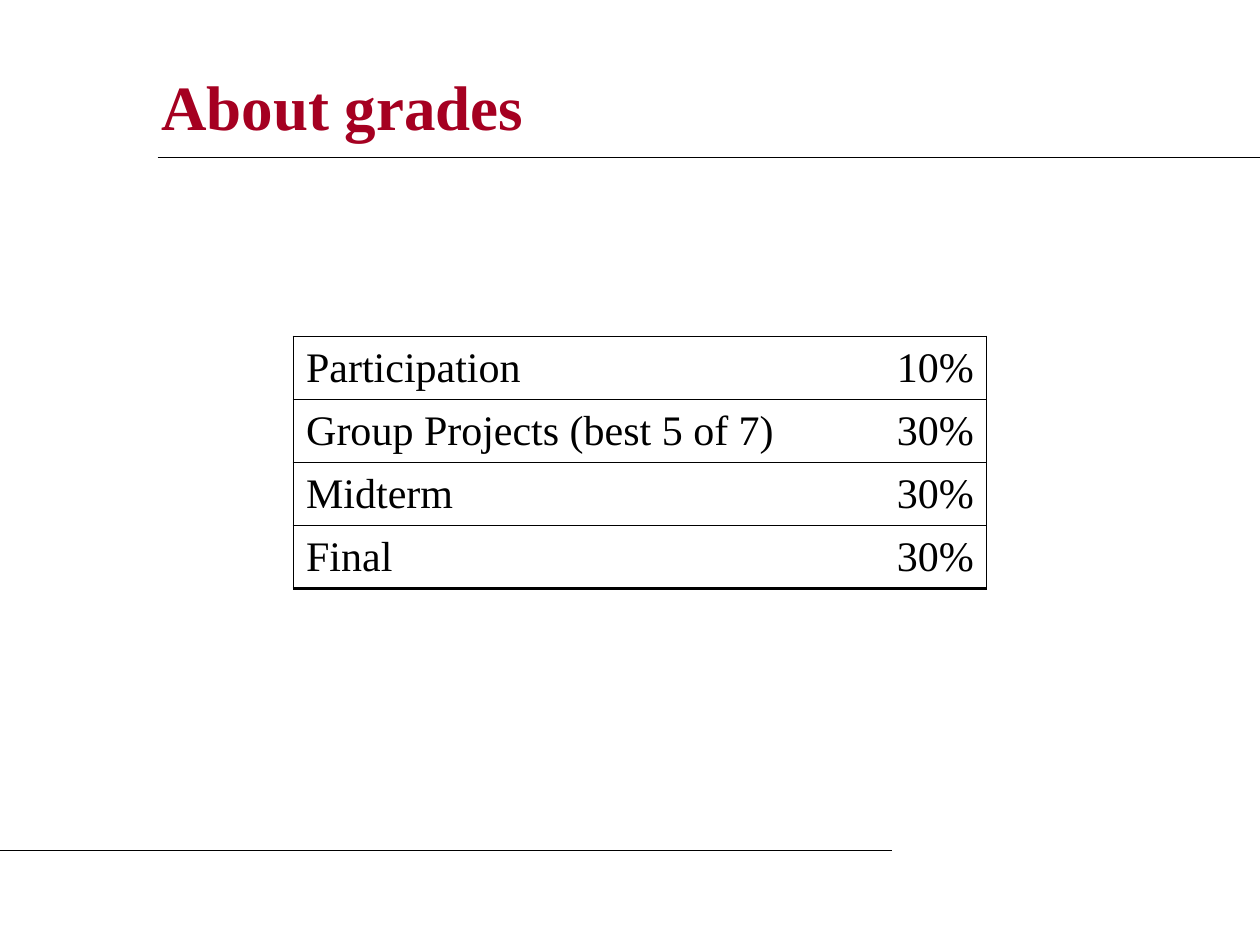
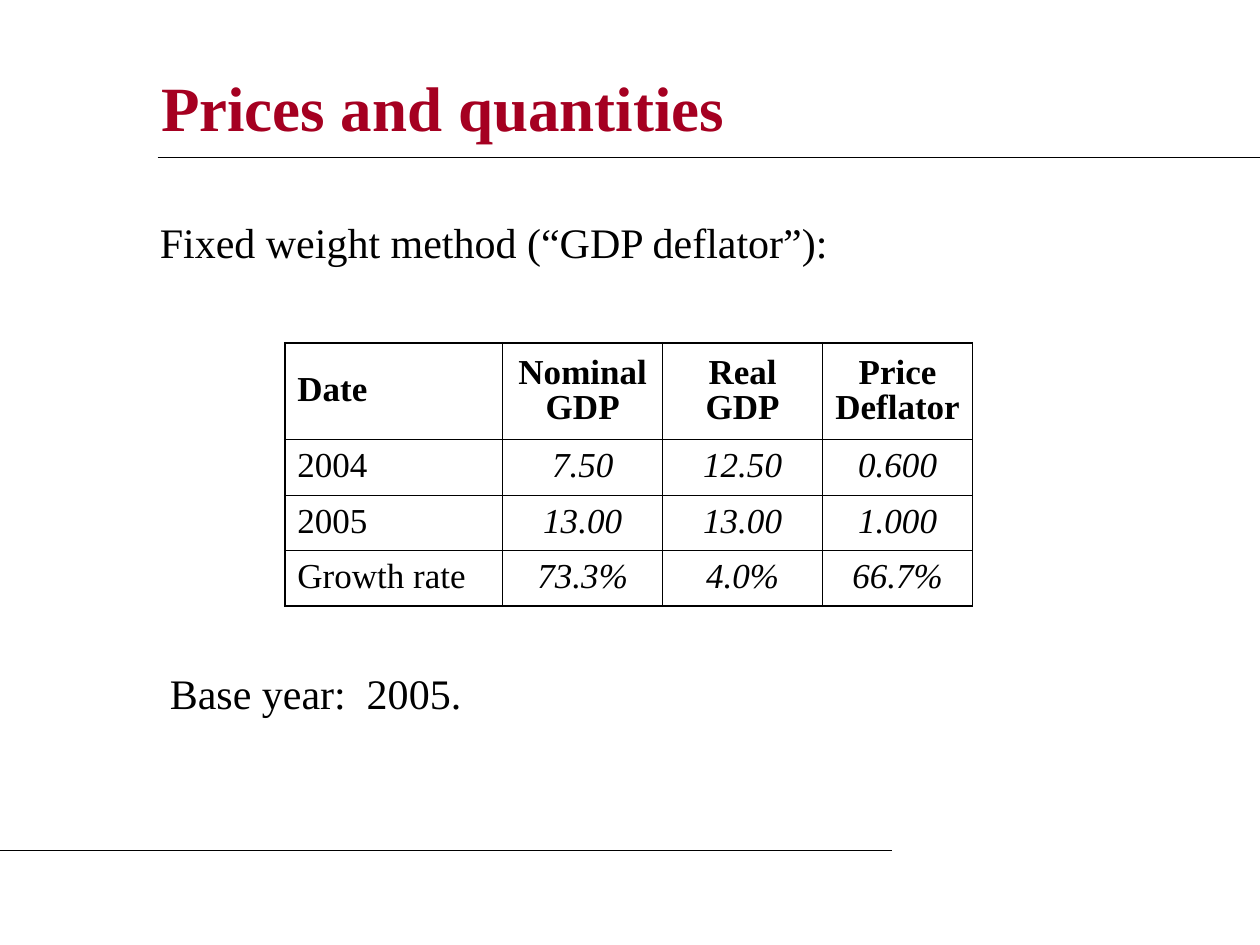
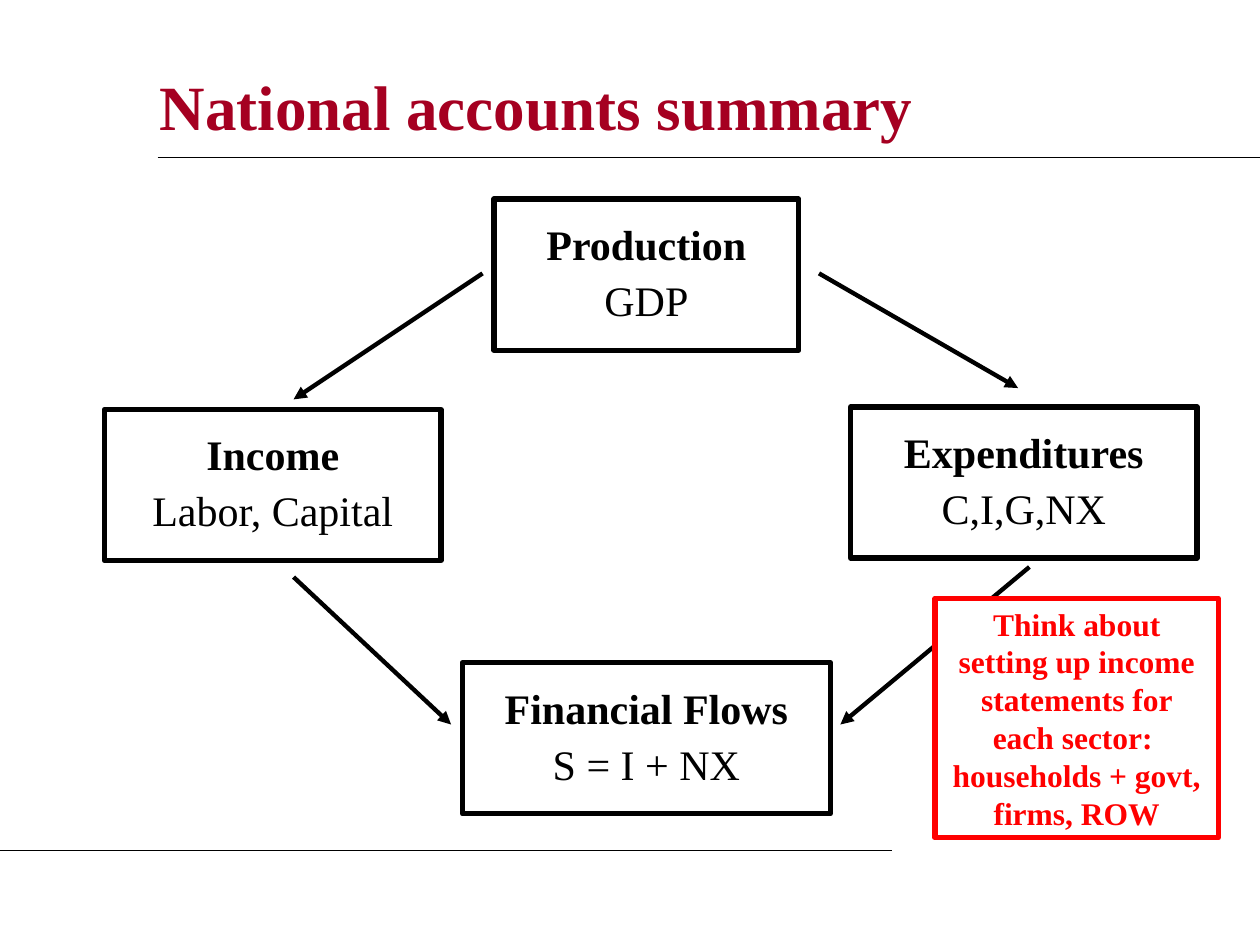
from lxml import etree
from pptx import Presentation
from pptx.dml.color import RGBColor
from pptx.enum.shapes import MSO_CONNECTOR as CONN, MSO_SHAPE as SHAPE
from pptx.enum.text import MSO_ANCHOR as ANCHOR, PP_ALIGN as ALIGN
from pptx.oxml.ns import qn
from pptx.util import Inches, Pt

BLACK = RGBColor(0x00, 0x00, 0x00)
WHITE = RGBColor(0xFF, 0xFF, 0xFF)
CRIMSON = RGBColor(0xA5, 0x00, 0x21)
RED = RGBColor(0xFF, 0x00, 0x00)
BODY = {"name": "Times New Roman", "size": Pt(24), "bold": False, "italic": False}
THIN, THICK = 0.45, 1.08


class Deck:
    """Builds slides that share one title style and two rules."""

    def __init__(self):
        self.prs = Presentation()
        self.prs.slide_width, self.prs.slide_height = Inches(10), Inches(7.5)
        self.s = None

    def slide(self, title, left, top, width, height):
        self.s = self.prs.slides.add_slide(self.prs.slide_layouts[6])
        sp = self.text(title, left, top, width, height, CRIMSON, size=Pt(36), bold=True)
        sp.text_frame.vertical_anchor = ANCHOR.MIDDLE
        self.line((1.25, 1.25), (10, 1.25))
        self.line((0, 6.75), (7.08, 6.75))

    def add_text(self, p, text, color=BLACK, layout=None, **fmt):
        for name, value in (layout or {}).items():
            setattr(p, name, value)
        r = p.add_run()
        r.text = text
        for name, value in {**BODY, **fmt}.items():
            setattr(r.font, name, value)
        r.font.color.rgb = color

    def text(self, text, left, top, width, height, color=BLACK, **fmt):
        sp = self.s.shapes.add_textbox(*map(Inches, (left, top, width, height)))
        sp.text_frame.word_wrap = True
        self.add_text(sp.text_frame.paragraphs[0], text, color, **fmt)
        return sp

    def line(self, start, end, width=0.75, arrow=False):
        c = self.s.shapes.add_connector(CONN.STRAIGHT, *map(Inches, start + end))
        c.line.color.rgb, c.line.width = BLACK, Pt(width)
        spPr = c.element.spPr
        if arrow:
            etree.SubElement(spPr.find(qn("a:ln")), qn("a:tailEnd"), type="triangle")
        etree.SubElement(spPr, qn("a:effectLst"))

    def frame(self, left, top, width, height, color=BLACK, insets=(0.1, 0.05)):
        sp = self.s.shapes.add_shape(SHAPE.RECTANGLE, *map(Inches, (left, top, width, height)))
        sp.shadow.inherit = False
        sp.fill.background()
        sp.line.color.rgb, sp.line.width = color, Pt(3)
        tf = sp.text_frame
        tf.word_wrap, tf.vertical_anchor = True, ANCHOR.TOP
        tf.margin_left = tf.margin_right = Inches(insets[0])
        tf.margin_top = tf.margin_bottom = Inches(insets[1])
        return sp

    def sector(self, name, detail, left, top, width):
        tf = self.frame(left, top, width, 1.2, insets=(0.2, 0.2)).text_frame
        layout = {"alignment": ALIGN.CENTER, "line_spacing": 0.9}
        self.add_text(tf.paragraphs[0], name, layout=layout, bold=True)
        self.add_text(tf.add_paragraph(), detail, layout={**layout, "space_before": Pt(6)})

    def note(self, text, left, top, width, height):
        sp = self.frame(left, top, width, height, RED)
        sp.fill.solid()
        sp.fill.fore_color.rgb = WHITE
        self.add_text(sp.text_frame.paragraphs[0], text, RED,
                      {"alignment": ALIGN.CENTER}, size=Pt(18), bold=True)

    def border(self, tc, sides):
        tcPr = tc.get_or_add_tcPr()
        for side, width in zip("LRTB", sides):
            ln = etree.SubElement(tcPr, qn(f"a:ln{side}"), w=str(Pt(width)))
            if width:
                fill = etree.SubElement(ln, qn("a:solidFill"))
                etree.SubElement(fill, qn("a:srgbClr"), val=str(BLACK))
            else:
                etree.SubElement(ln, qn("a:noFill"))

    def table(self, rows, left, top, widths, heights, style, inner=THIN, bottom=THICK):
        n, m = len(rows), len(widths)
        box = map(Inches, (left, top, sum(widths), sum(heights)))
        gf = self.s.shapes.add_table(n, m, *box)
        table = gf.table
        table.first_row = table.horz_banding = False
        for col, width in zip(table.columns, widths):
            col.width = Inches(width)
        for row, height in zip(table.rows, heights):
            row.height = Inches(height)
        for k, tc in enumerate(gf.element.iter(qn("a:tc"))):
            i, j = divmod(k, m)
            self.border(tc, (inner if j else THICK, inner if j < m - 1 else THICK,
                             THIN if i else THICK, THIN if i < n - 1 else bottom))
            cell = table.cell(i, j)
            cell.fill.background()
            cell.vertical_anchor = ANCHOR.MIDDLE
            layout, fmt = style(i, j)
            self.add_text(cell.text_frame.paragraphs[0], rows[i][j], layout=layout, **fmt)


def grade_style(i, j):
    return {"alignment": ALIGN.RIGHT if j else ALIGN.LEFT}, {}


def price_style(i, j):
    layout = {"alignment": ALIGN.CENTER if j else ALIGN.LEFT, "line_spacing": 0.9}
    return layout, {"size": Pt(20), "bold": i == 0, "italic": i > 0 and j > 0}


def main():
    deck = Deck()

    deck.slide("About grades", 1.18, 0.5, 8.33, 0.67)
    grades = [("Participation", "10%"), ("Group Projects (best 5 of 7)", "30%"),
              ("Midterm", "30%"), ("Final", "30%")]
    deck.table(grades, 2.33, 2.67, [4.09, 1.41], [0.5] * 4, grade_style, inner=0, bottom=1.47)

    deck.slide("Prices and quantities", 1.18, 0.47, 8.08, 0.75)
    prices = [("Date", "Nominal GDP", "Real GDP", "Price Deflator"),
              ("2004", "7.50", "12.50", "0.600"),
              ("2005", "13.00", "13.00", "1.000"),
              ("Growth rate", "73.3%", "4.0%", "66.7%")]
    deck.table(prices, 2.26, 2.72, [1.73, 1.27, 1.27, 1.19], [0.77] + [0.44] * 3, price_style)
    deck.text("Fixed weight method (“GDP deflator”):", 1.17, 1.67, 5.67, 0.5)
    deck.text("Base year:  2005.", 1.25, 5.25, 7.17, 0.5)

    deck.slide("National accounts summary", 1.17, 0.42, 8.08, 0.83)
    for sector in [("Production", "GDP", 3.92, 1.58, 2.42),
                   ("Expenditures", "C,I,G,NX", 6.75, 3.23, 2.75),
                   ("Income", "Labor, Capital", 0.83, 3.25, 2.67),
                   ("Financial Flows", "S = I + NX", 3.67, 5.26, 2.92)]:
        deck.sector(*sector)
    for start, end in [((6.5, 2.17), (8.08, 3.08)), ((3.83, 2.17), (2.33, 3.17)),
                       ((8.17, 4.5), (6.67, 5.75)), ((2.33, 4.58), (3.58, 5.75))]:
        deck.line(start, end, 2.5, arrow=True)
    deck.note("Think about setting up income statements for each sector:  "
              "households + govt, firms, ROW", 7.42, 4.75, 2.25, 1.9)

    deck.prs.save("out.pptx")


if __name__ == "__main__":
    main()
